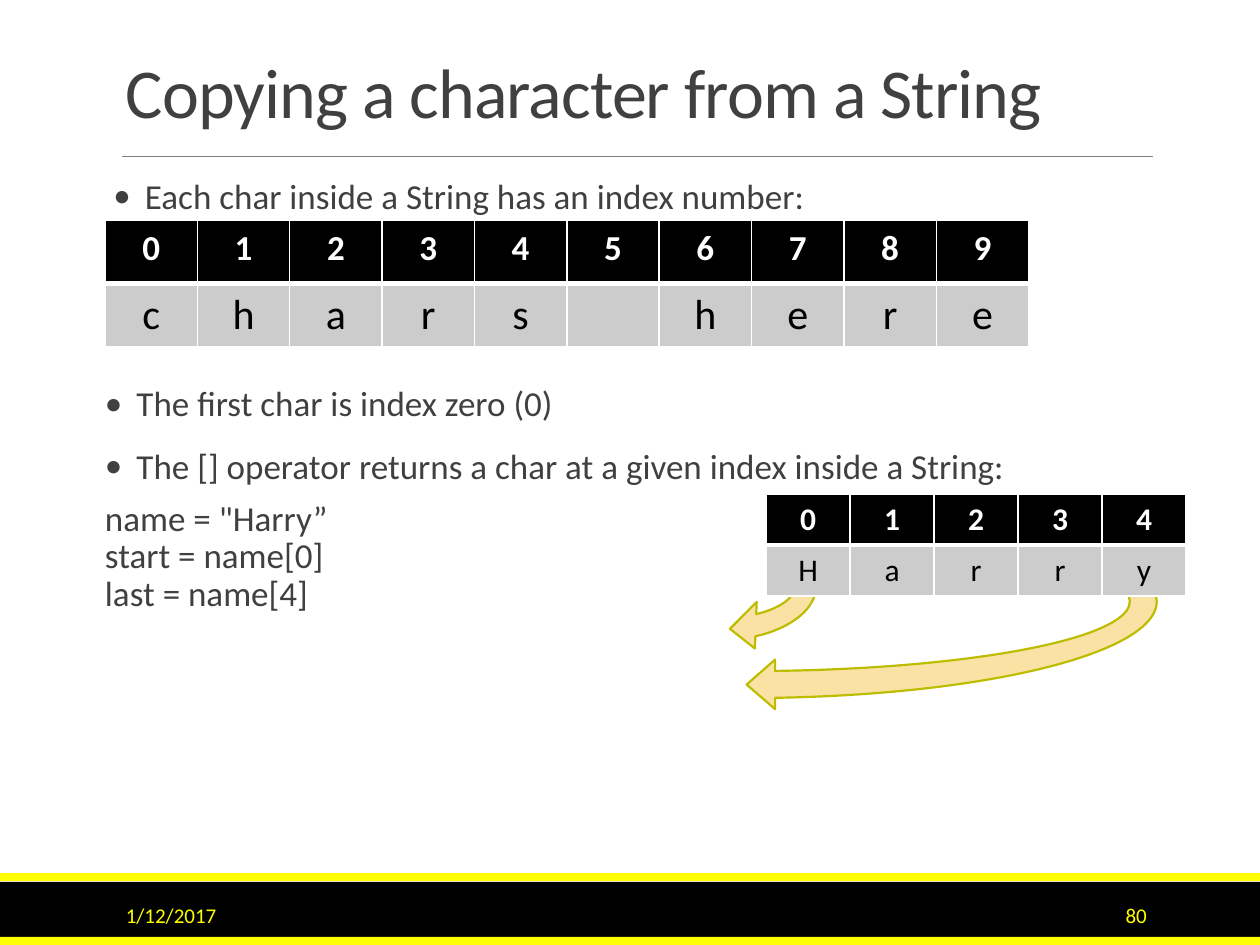
from pptx import Presentation
from pptx import util as u
from pptx.dml.color import RGBColor
from pptx.enum import shapes, text
from pptx.oxml.ns import qn
from lxml import etree

WIDTH, HEIGHT = u.Inches(10), u.Inches(7.5)
FONT = "Calibri"
BLACK = RGBColor(0x00, 0x00, 0x00)
WHITE = RGBColor(0xFF, 0xFF, 0xFF)
YELLOW = RGBColor(0xFF, 0xFF, 0x00)
DARK = RGBColor(0x40, 0x40, 0x40)
RULE_GRAY = RGBColor(0x80, 0x80, 0x80)
CELL_GRAY = RGBColor(0xCC, 0xCC, 0xCC)
CREAM = RGBColor(0xFA, 0xE1, 0xA4)
OLIVE = RGBColor(0xBD, 0xBD, 0x00)


def place(left, top, width, height):
    """Turn percentages of the slide's size into lengths."""
    return [round(share * size / 100) for share, size in
            ((left, WIDTH), (top, HEIGHT), (width, WIDTH), (height, HEIGHT))]


def write(para, words, size=20, color=DARK, bold=False, align=text.PP_ALIGN.LEFT,
          line=1, before=0, after=0, bullet=False, tracking=None):
    para.alignment = align
    para.line_spacing = line
    para.space_before, para.space_after = u.Pt(before), u.Pt(after)
    if bullet:
        props = para._p.get_or_add_pPr()
        props.set("marL", str(u.Inches(0.25)))
        props.set("indent", str(-u.Inches(0.25)))
        etree.SubElement(props, qn("a:buFont"), typeface=FONT)
        etree.SubElement(props, qn("a:buChar"), char="•")
    span = para.add_run()
    span.text = words
    font = span.font
    font.name, font.size, font.bold = FONT, u.Pt(size), bold
    font.color.rgb = color
    if tracking:
        font._element.set("spc", str(tracking))


def add_text(page, area, lines, anchor=text.MSO_ANCHOR.TOP, side=0.1):
    """Add a box with one paragraph for each (words, format) pair."""
    frame = page.shapes.add_textbox(*place(*area)).text_frame
    frame.word_wrap = True
    frame.vertical_anchor = anchor
    frame.margin_left = frame.margin_right = u.Inches(side)
    for number, (words, style) in enumerate(lines):
        para = frame.add_paragraph() if number else frame.paragraphs[0]
        write(para, words, **style)


def add_shape(page, kind, area, fill, outline=None, turn=0, adjust=()):
    shape = page.shapes.add_shape(kind, *place(*area))
    shape.shadow.inherit = False
    shape.rotation = turn
    shape.fill.solid()
    shape.fill.fore_color.rgb = fill
    if outline is None:
        shape.line.fill.background()
    else:
        shape.line.color.rgb = outline
        shape.line.width = u.Pt(1.25)
    for number, value in enumerate(adjust):
        shape.adjustments[number] = value


def add_rule(page, left, right, level):
    x, y, length, _ = place(left, level, right - left, 0)
    rule = page.shapes.add_connector(shapes.MSO_CONNECTOR.STRAIGHT, x, y, x + length, y)
    rule.line.color.rgb = RULE_GRAY
    rule.line.width = u.Pt(0.5)
    etree.SubElement(rule._element.spPr, qn("a:effectLst"))


def set_borders(cell, **widths):
    props = cell._tc.get_or_add_tcPr()
    for side in "LRTB":
        border = etree.SubElement(props, qn("a:ln" + side), w=str(u.Pt(widths.get(side, 1))))
        fill = etree.SubElement(border, qn("a:solidFill"))
        etree.SubElement(fill, qn("a:srgbClr"), val=str(WHITE))


def add_index_table(page, area, word, index_size, letter_size):
    """Show each character of a word below its index."""
    left, top, width, height = place(*area)
    table = page.shapes.add_table(2, len(word), left, top, width, height).table
    table.horz_banding = False
    for column in table.columns:
        column.width = round(width / len(word))
    for row in table.rows:
        row.height = round(height / 2)
    for index, letter in enumerate(word):
        head, body = table.cell(0, index), table.cell(1, index)
        set_borders(head, B=3)
        set_borders(body, T=3)
        for cell, words, fill, color, size in (
                (head, str(index), BLACK, WHITE, index_size),
                (body, letter.strip(), CELL_GRAY, BLACK, letter_size)):
            cell.fill.solid()
            cell.fill.fore_color.rgb = fill
            write(cell.text_frame.paragraphs[0], words, size=size, color=color,
                  bold=cell is head, align=text.PP_ALIGN.CENTER)


def main():
    deck = Presentation()
    deck.slide_width, deck.slide_height = WIDTH, HEIGHT
    page = deck.slides.add_slide(deck.slide_layouts[6])
    middle = text.MSO_ANCHOR.MIDDLE
    rect, curve = shapes.MSO_SHAPE.RECTANGLE, shapes.MSO_SHAPE.CIRCULAR_ARROW

    # Footer band and title rule
    add_shape(page, rect, (0, 93.33, 100, 6.67), BLACK)
    for top in (92.4, 99.15):
        add_shape(page, rect, (0, top, 100, 0.85), YELLOW)
    add_rule(page, 9.7, 91.5, 16.53)

    # Title and first point
    point = dict(line=0.9, after=2, bullet=True)
    add_text(page, (9, 4.13, 82.5, 10.53),
             [("Copying a character from a String", dict(size=40, line=0.85, tracking=-50))],
             anchor=text.MSO_ANCHOR.BOTTOM)
    add_text(page, (9, 18.27, 82.5, 18.4),
             [("Each char inside a String has an index number:", point)], side=0)
    add_index_table(page, (8.33, 23.33, 73.33, 13.33), "chars here", 20, 24)

    # Arrows from the first and last letters, behind the second table
    add_shape(page, curve, (53.3, 52.4, 9.5, 20.53), CREAM, OLIVE, 85.5,
              (0.181, 23.187, 196.863, 165.91, 0.195))
    add_shape(page, curve, (50.7, 19.07, 17.1, 89.2), CREAM, OLIVE, 90,
              (0.125, 11.423, 204.577, 160.08, 0.115))
    add_index_table(page, (60.8, 52.27, 33.33, 10.8), "Harry", 18, 18)

    # Date and page number
    small = dict(size=12, color=YELLOW)
    add_text(page, (9, 94.13, 20.3, 5.33), [("1/12/2017", small)], anchor=middle)
    add_text(page, (81.2, 94.13, 10.8, 5.33),
             [("80", dict(small, align=text.PP_ALIGN.RIGHT))], anchor=middle)

    # Further points and the code example
    code = dict(line=0.9)
    add_text(page, (8.33, 40.27, 82.5, 34.8), [
        ("The first char is index zero (0)", point),
        ("The [] operator returns a char at a given index inside a String:",
         dict(point, before=12)),
        ('name = "Harry”', dict(code, before=6)),
        ("start = name[0]", code),
        ("last = name[4]", code),
    ], side=0)

    deck.save("out.pptx")


if __name__ == "__main__":
    main()
